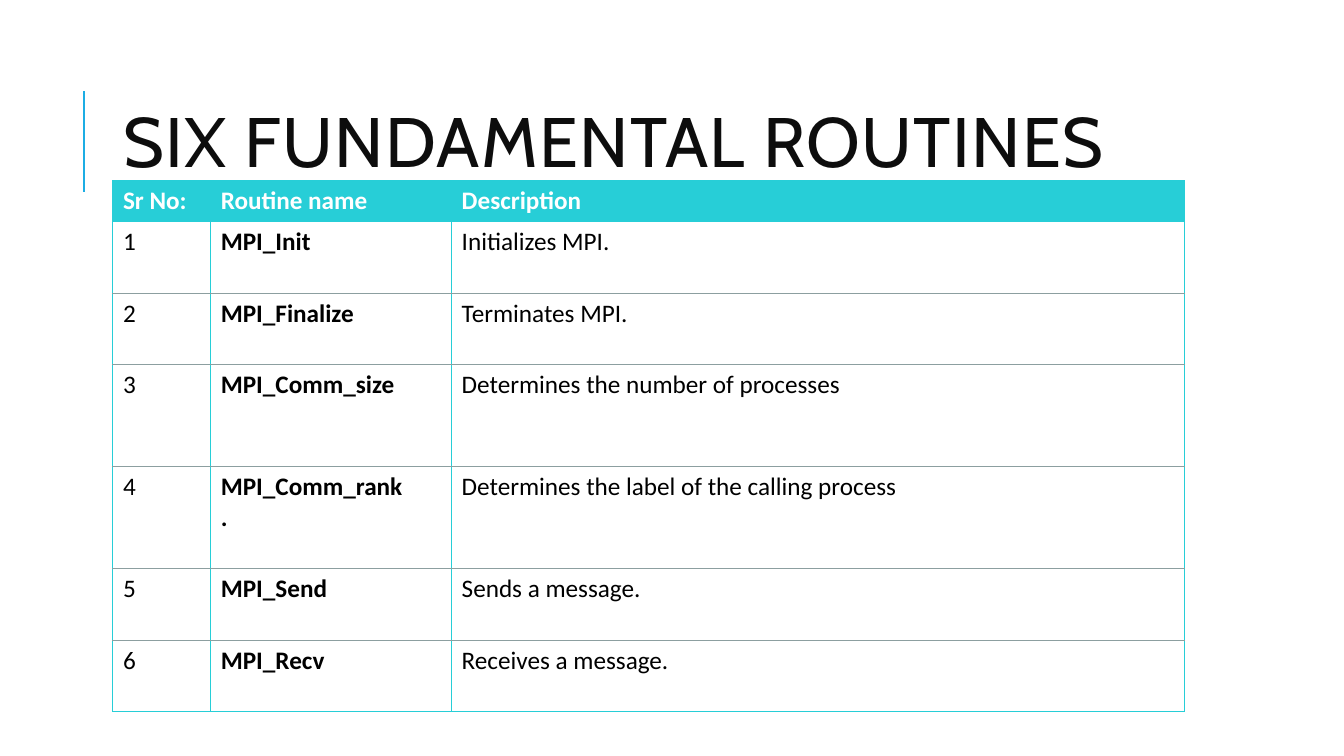
import pptx
import pptx.dml.color
import pptx.enum.shapes
import pptx.enum.text
import pptx.oxml
import pptx.oxml.ns
import pptx.util

Inches = pptx.util.Inches
Pt = pptx.util.Pt

CYAN = "27CED7"
GRAY = "8C9FA0"
WHITE = "FFFFFF"
BLACK = "000000"

COLUMN_WIDTHS = [0.97, 2.39, 7.27]
ROW_HEIGHTS = [0.41, 0.71, 0.71, 1.01, 1.01, 0.71, 0.71]
HEADINGS = ["Sr No:", "Routine name", "Description"]
ROUTINES = [
    ("MPI_Init", "Initializes MPI."),
    ("MPI_Finalize", "Terminates MPI."),
    ("MPI_Comm_size", "Determines the number of processes"),
    ("MPI_Comm_rank\n.", "Determines the label of the calling process"),
    ("MPI_Send", "Sends a message."),
    ("MPI_Recv", "Receives a message."),
]


def color(value):
    return pptx.dml.color.RGBColor.from_string(value)


def add_run(para, text, font, size, fill, bold=False):
    span = para.add_run()
    span.text = text
    span.font.name = font
    span.font.size = Pt(size)
    span.font.bold = bold
    span.font.color.rgb = color(fill)
    return span


def set_title(page, text):
    box = page.shapes.title
    box.left, box.top = Inches(1.12), Inches(0.64)
    box.width, box.height = Inches(10.63), Inches(1.64)
    frame = box.text_frame
    frame.word_wrap = True
    frame.auto_size = pptx.enum.text.MSO_AUTO_SIZE.NONE
    frame.vertical_anchor = pptx.enum.text.MSO_ANCHOR.MIDDLE
    para = frame.paragraphs[0]
    para.alignment = pptx.enum.text.PP_ALIGN.LEFT
    para.line_spacing = 0.8
    span = add_run(para, text, "Cabin", 50, "0D0D0D")
    span.font._element.set("spc", "100")


def add_accent_line(page):
    line = page.shapes.add_connector(
        pptx.enum.shapes.MSO_CONNECTOR.STRAIGHT,
        Inches(0.83), Inches(1.9), Inches(0.83), Inches(0.9))
    line.line.color.rgb = color("1CADE4")
    line.line.width = Pt(1.5)
    line._element.spPr.append(pptx.oxml.parse_xml(
        f'<a:effectLst {pptx.oxml.ns.nsdecls("a")}/>'))


def set_border(cell, side, value):
    cell._tc.get_or_add_tcPr().append(pptx.oxml.parse_xml(
        f'<a:ln{side} {pptx.oxml.ns.nsdecls("a")} w="{Pt(0.75)}">'
        f'<a:solidFill><a:srgbClr val="{value}"/></a:solidFill></a:ln{side}>'))


def fill_cell(cell, text, fill, text_color, bold, top, bottom):
    for side, value in zip("LRTB", (CYAN, CYAN, top, bottom)):
        set_border(cell, side, value)
    cell.fill.solid()
    cell.fill.fore_color.rgb = color(fill)
    frame = cell.text_frame
    for index, line in enumerate(text.split("\n")):
        para = frame.add_paragraph() if index else frame.paragraphs[0]
        add_run(para, line, "Calibri", 18, text_color, bold)


def add_routine_table(page):
    rows = [HEADINGS] + [(str(number), *routine)
                         for number, routine in enumerate(ROUTINES, 1)]
    table = page.shapes.add_table(
        len(rows), len(HEADINGS), Inches(1.12), Inches(1.79),
        Inches(sum(COLUMN_WIDTHS)), Inches(sum(ROW_HEIGHTS))).table
    table.horz_banding = False
    for column, width in zip(table.columns, COLUMN_WIDTHS):
        column.width = Inches(width)
    for row, height in zip(table.rows, ROW_HEIGHTS):
        row.height = Inches(height)

    for r, texts in enumerate(rows):
        header = r == 0
        top = CYAN if r <= 1 else GRAY
        bottom = CYAN if header or r == len(rows) - 1 else GRAY
        for c, text in enumerate(texts):
            fill_cell(table.cell(r, c), text,
                      CYAN if header else WHITE,
                      WHITE if header else BLACK,
                      header or c == 1, top, bottom)


def main():
    deck = pptx.Presentation()
    deck.slide_width, deck.slide_height = Inches(13.33), Inches(7.5)
    # "Title Only" layout
    page = deck.slides.add_slide(deck.slide_layouts[5])
    page.background.fill.solid()
    page.background.fill.fore_color.rgb = color(WHITE)

    # Heading
    add_accent_line(page)
    set_title(page, "SIX FUNDAMENTAL ROUTINES")

    # Routines
    add_routine_table(page)
    deck.save("out.pptx")


if __name__ == "__main__":
    main()
